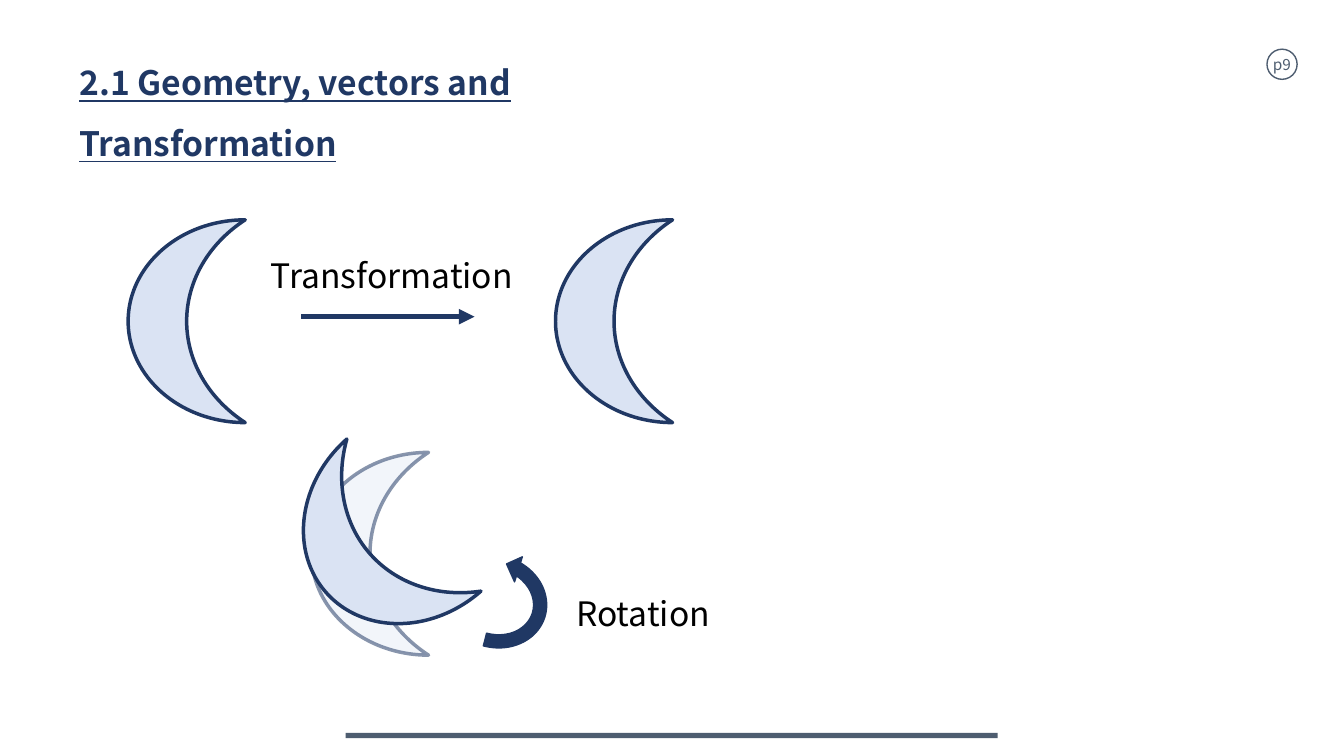
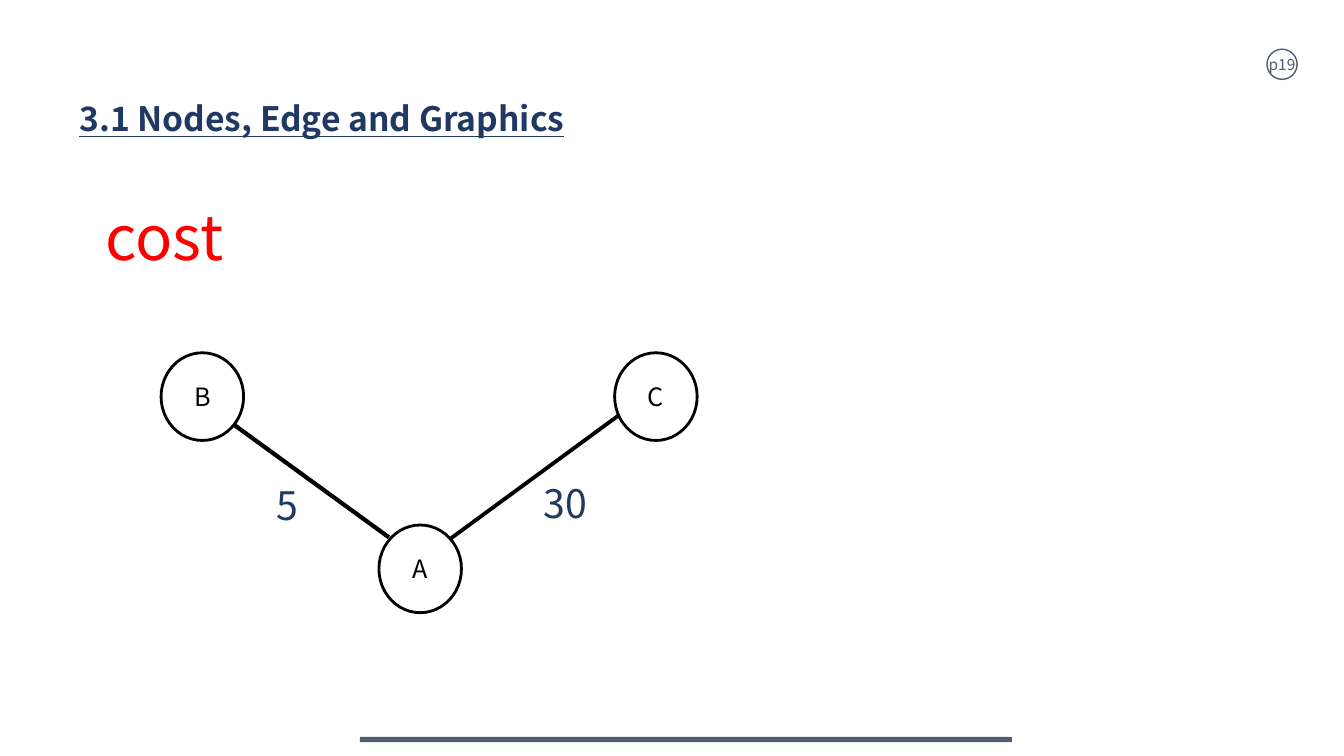
"""Build two lesson slides: moving a moon shape, and the cost of graph edges."""
import dataclasses

import lxml.etree
import pptx
import pptx.dml.color
import pptx.enum.shapes
import pptx.enum.text
import pptx.oxml.ns
import pptx.util

Cm = pptx.util.Cm
Pt = pptx.util.Pt
Kind = pptx.enum.shapes.MSO_SHAPE
Align = pptx.enum.text.PP_ALIGN
qn = pptx.oxml.ns.qn


@dataclasses.dataclass(frozen=True)
class Theme:
    face: str = "Noto Sans CJK KR"
    navy: str = "203864"
    slate: str = "4E5D70"
    pale: str = "DAE3F3"
    white: str = "FFFFFF"
    black: str = "000000"
    red: str = "FF0000"
    tiny: int = 11
    small: int = 18
    body: int = 24
    large: int = 28
    huge: int = 44


def rgb(code):
    return pptx.dml.color.RGBColor.from_string(code)


def add_xml(parent, tag, **attrs):
    lxml.etree.SubElement(parent, qn(tag), attrs)


class Deck:
    def __init__(self, theme):
        self.theme = theme
        self.file = pptx.Presentation()
        self.file.slide_width = Cm(33.87)
        self.file.slide_height = Cm(19.05)
        self.slide = None

    def page(self, number, title, top, height, bar):
        look = self.theme
        self.slide = self.file.slides.add_slide(self.file.slide_layouts[6])
        para = self.text(title, 1.75, top, 14.5, height, look.body, look.navy)
        para.line_spacing = 1.5
        para.font.bold = para.font.underline = True
        badge = self.shape(Kind.OVAL, 31.93, 1.24, 0.76, 0.76, look.white, look.slate, 1)
        self.label(badge, number, look.tiny, look.slate)
        badge.text_frame.word_wrap = False
        self.shape(Kind.RECTANGLE, *bar, 16.43, 0.13, look.slate)

    def style(self, para, words, size, color):
        para.text = words
        para.font.name = self.theme.face
        para.font.size = Pt(size)
        para.font.color.rgb = rgb(color)
        return para

    def text(self, words, left, top, width, height, size, color):
        box = self.slide.shapes.add_textbox(Cm(left), Cm(top), Cm(width), Cm(height))
        box.text_frame.word_wrap = True
        return self.style(box.text_frame.paragraphs[0], words, size, color)

    def label(self, shape, words, size, color):
        frame = shape.text_frame
        frame.vertical_anchor = pptx.enum.text.MSO_ANCHOR.MIDDLE
        self.style(frame.paragraphs[0], words, size, color).alignment = Align.CENTER

    def shape(self, kind, left, top, width, height, fill, line=None, weight=1):
        item = self.slide.shapes.add_shape(kind, Cm(left), Cm(top), Cm(width), Cm(height))
        item.shadow.inherit = False
        item.fill.solid()
        item.fill.fore_color.rgb = rgb(fill)
        if line:
            item.line.color.rgb = rgb(line)
            item.line.width = Pt(weight)
        else:
            item.line.fill.background()
        return item

    def moon(self, left, top, turn=0, fade=()):
        item = self.shape(Kind.MOON, left, top, 2.95, 5.11, self.theme.pale, self.theme.navy, 2.5)
        item.rotation = turn
        colors = item._element.spPr.iter(qn("a:srgbClr"))
        for color, share in zip(list(colors), fade):
            add_xml(color, "a:alpha", val=str(share * 1000))

    def curve(self, left, top, width, height, turn):
        navy = self.theme.navy
        item = self.shape(Kind.CIRCULAR_ARROW, left, top, width, height, navy, navy, 1)
        for index, value in enumerate((0.125, 11.42, 204.58, 109.67, 0.125)):
            item.adjustments[index] = value
        item.rotation = turn
        item._element.spPr.find(qn("a:xfrm")).set("flipH", "1")

    def node(self, name, left, top):
        look = self.theme
        item = self.shape(Kind.OVAL, left, top, 2.08, 2.21, look.white, look.black, 2)
        self.label(item, name, look.small, look.black)

    def line(self, start, end, color, weight, arrow=False):
        ends = [Cm(value) for value in (*start, *end)]
        link = self.slide.shapes.add_connector(pptx.enum.shapes.MSO_CONNECTOR.STRAIGHT, *ends)
        link.line.color.rgb = rgb(color)
        link.line.width = Pt(weight)
        shell = link._element.spPr
        if arrow:
            add_xml(shell.find(qn("a:ln")), "a:tailEnd", type="triangle")
        add_xml(shell, "a:effectLst")


def main():
    look = Theme()
    deck = Deck(look)

    deck.page("p9", "2.1 Geometry, vectors and Transformation", 0.94, 3.12, (8.71, 18.47))
    for left in (3.23, 14):
        deck.moon(left, 5.54)
    deck.moon(7.85, 11.4, fade=(34, 52))
    deck.moon(7.85, 11.4, turn=318.6)
    deck.line((7.59, 7.98), (11.96, 7.98), look.navy, 3.75, arrow=True)
    deck.curve(11.15, 13.67, 2.64, 2.97, 107.3)
    for words, left, top in (("Transformation", 6.58, 6.3), ("Rotation", 14.27, 14.81)):
        deck.text(words, left, top, 6.71, 1.27, look.body, look.black)

    deck.page("p19", "3.1 Nodes, Edge and Graphics", 1.83, 1.6, (9.07, 18.57))
    for name, left, top in (("B", 4.06, 8.89), ("A", 9.55, 13.23), ("C", 15.49, 8.89)):
        deck.node(name, left, top)
    deck.line((5.92, 10.72), (9.8, 13.54), look.black, 3)
    deck.line((11.33, 13.59), (15.6, 10.46), look.black, 2.75)
    for cost, left, top in (("5", 6.71, 12.01), ("30", 13.46, 11.96)):
        deck.text(cost, left, top, 1.7, 1.57, look.large, look.navy)
    deck.text("cost", 2.41, 4.88, 5.08, 2.13, look.huge, look.red)

    deck.file.save("out.pptx")


if __name__ == "__main__":
    main()
